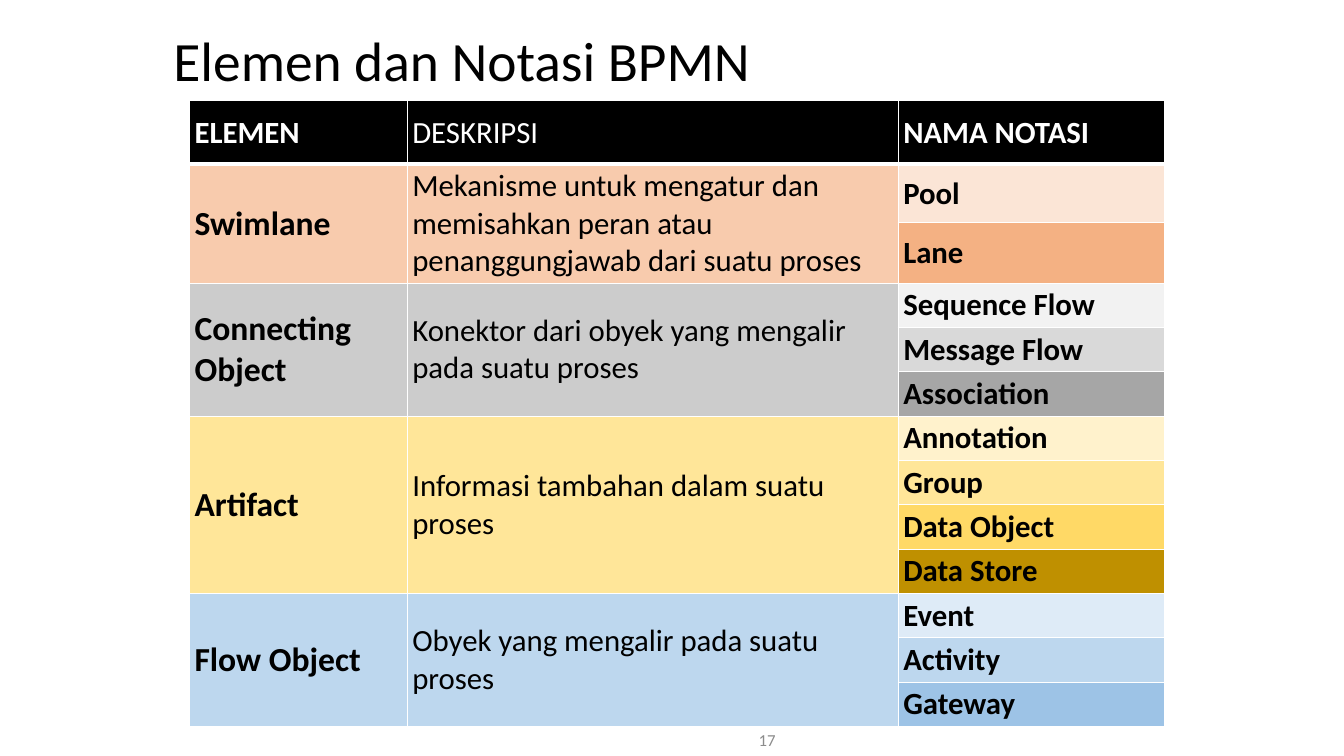
import pptx
import pptx.dml.color
import pptx.enum.text
import pptx.oxml
import pptx.oxml.ns
import pptx.util
from pptx.dml.color import RGBColor
from pptx.util import Inches, Pt

FONT = "Calibri"
BLACK = RGBColor(0x00, 0x00, 0x00)
WHITE = RGBColor(0xFF, 0xFF, 0xFF)
NUMBER_GRAY = RGBColor(0x8C, 0x8C, 0x8C)
PEACH_LIGHT = RGBColor(0xFB, 0xE5, 0xD6)
PEACH = RGBColor(0xF8, 0xCB, 0xAD)
ORANGE = RGBColor(0xF4, 0xB1, 0x83)
GRAY_PALE = RGBColor(0xF2, 0xF2, 0xF2)
GRAY_LIGHT = RGBColor(0xD9, 0xD9, 0xD9)
GRAY = RGBColor(0xCC, 0xCC, 0xCC)
GRAY_DARK = RGBColor(0xA6, 0xA6, 0xA6)
YELLOW_LIGHT = RGBColor(0xFF, 0xF2, 0xCC)
YELLOW = RGBColor(0xFF, 0xE6, 0x99)
GOLD = RGBColor(0xFF, 0xD9, 0x66)
GOLD_DARK = RGBColor(0xBF, 0x90, 0x00)
BLUE_LIGHT = RGBColor(0xDE, 0xEB, 0xF7)
BLUE = RGBColor(0xBD, 0xD7, 0xEE)
BLUE_DARK = RGBColor(0x9D, 0xC3, 0xE6)

HEADERS = [("ELEMEN", True), ("DESKRIPSI", False), ("NAMA NOTASI", True)]
# Element, description, colour, and its notations with their colours
ELEMENTS = [
    ("Swimlane",
     "Mekanisme untuk mengatur dan memisahkan peran atau penanggungjawab dari suatu proses",
     PEACH, [("Pool", PEACH_LIGHT), ("Lane", ORANGE)]),
    ("Connecting Object", "Konektor dari obyek yang mengalir pada suatu proses", GRAY,
     [("Sequence Flow", GRAY_PALE), ("Message Flow", GRAY_LIGHT), ("Association", GRAY_DARK)]),
    ("Artifact", "Informasi tambahan dalam suatu proses", YELLOW,
     [("Annotation", YELLOW_LIGHT), ("Group", YELLOW), ("Data Object", GOLD),
      ("Data Store", GOLD_DARK)]),
    ("Flow Object", "Obyek yang mengalir pada suatu proses", BLUE,
     [("Event", BLUE_LIGHT), ("Activity", BLUE), ("Gateway", BLUE_DARK)]),
]
COLUMN_WIDTHS = [2.16, 4.87, 2.64]
ROW_HEIGHTS = [0.63, 0.58, 0.6] + [0.44] * 10


def set_font(paragraph, size, color, bold=False):
    paragraph.font.name = FONT
    paragraph.font.size = Pt(size)
    paragraph.font.bold = bold
    paragraph.font.color.rgb = color


def add_borders(cell, bottom_width=1):
    properties = cell._tc.get_or_add_tcPr()
    for side, width in (("L", 1), ("R", 1), ("T", 1), ("B", bottom_width)):
        properties.append(pptx.oxml.parse_xml(
            f'<a:ln{side} {pptx.oxml.ns.nsdecls("a")} w="{Pt(width)}">'
            f'<a:solidFill><a:srgbClr val="{WHITE}"/></a:solidFill></a:ln{side}>'))


def fill_cell(cell, text, fill, size=22, color=BLACK, bold=False):
    cell.text = text
    cell.vertical_anchor = pptx.enum.text.MSO_ANCHOR.MIDDLE
    cell.margin_left = cell.margin_right = Inches(0.05)
    cell.margin_top = cell.margin_bottom = Inches(0.03)
    cell.fill.solid()
    cell.fill.fore_color.rgb = fill
    set_font(cell.text_frame.paragraphs[0], size, color, bold)


def add_title(slide, left, top, width, height):
    title = slide.shapes.title
    title.left, title.top, title.width, title.height = map(Inches, (left, top, width, height))
    frame = title.text_frame
    frame.text = "Elemen dan Notasi BPMN"
    frame.auto_size = pptx.enum.text.MSO_AUTO_SIZE.NONE
    frame.vertical_anchor = pptx.enum.text.MSO_ANCHOR.MIDDLE
    paragraph = frame.paragraphs[0]
    paragraph.alignment = pptx.enum.text.PP_ALIGN.LEFT
    paragraph.line_spacing = 0.9
    set_font(paragraph, 39.6, BLACK)


def add_notation_table(slide, left, top):
    table = slide.shapes.add_table(
        len(ROW_HEIGHTS), len(COLUMN_WIDTHS), Inches(left), Inches(top),
        Inches(sum(COLUMN_WIDTHS)), Inches(sum(ROW_HEIGHTS))).table
    table.horz_banding = False
    for column, width in zip(table.columns, COLUMN_WIDTHS):
        column.width = Inches(width)
    for index, (row, height) in enumerate(zip(table.rows, ROW_HEIGHTS)):
        row.height = Inches(height)
        for cell in row.cells:
            add_borders(cell, bottom_width=3 if index == 0 else 1)

    for column, (header, bold) in enumerate(HEADERS):
        fill_cell(table.cell(0, column), header, BLACK, color=WHITE, bold=bold)
    first_row = 1
    for element, description, color, notations in ELEMENTS:
        last_row = first_row + len(notations) - 1
        for column in (0, 1):
            table.cell(first_row, column).merge(table.cell(last_row, column))
        fill_cell(table.cell(first_row, 0), element, color, size=24, bold=True)
        fill_cell(table.cell(first_row, 1), description, color)
        for row, (notation, notation_color) in enumerate(notations, first_row):
            fill_cell(table.cell(row, 2), notation, notation_color, bold=True)
        first_row = last_row + 1


def add_slide_number(slide, left, top, width, height):
    box = slide.shapes.add_textbox(*map(Inches, (left, top, width, height)))
    frame = box.text_frame
    frame.word_wrap = True
    frame.vertical_anchor = pptx.enum.text.MSO_ANCHOR.MIDDLE
    frame.text = "17"
    paragraph = frame.paragraphs[0]
    paragraph.alignment = pptx.enum.text.PP_ALIGN.RIGHT
    set_font(paragraph, 12, NUMBER_GRAY)


def main():
    presentation = pptx.Presentation()
    presentation.slide_width = Inches(13.33)
    presentation.slide_height = Inches(7.5)
    slide = presentation.slides.add_slide(presentation.slide_layouts.get_by_name("Title Only"))
    add_notation_table(slide, 1.88, 1)
    add_title(slide, 1.62, 0.41, 11.5, 0.45)
    add_slide_number(slide, 5.54, 7.17, 2.25, 0.33)
    presentation.save("out.pptx")


if __name__ == "__main__":
    main()
